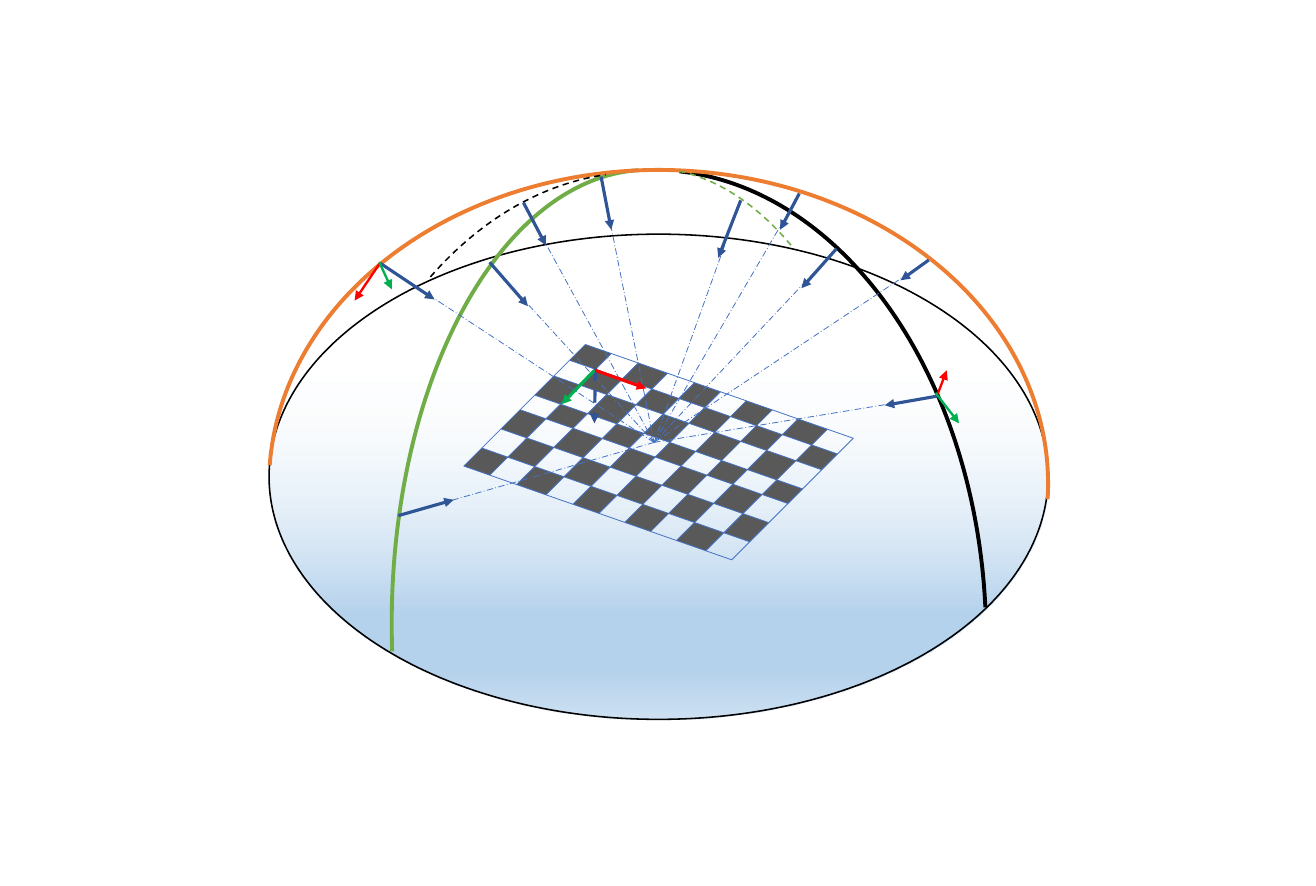
from itertools import product

from lxml import etree
from pptx import Presentation
from pptx import oxml
from pptx.dml.color import RGBColor
from pptx.enum import dml, shapes
from pptx.oxml import ns
from pptx.util import Inches, Pt

BLACK = RGBColor(0x00, 0x00, 0x00)
ORANGE = RGBColor(0xED, 0x7D, 0x31)
OLIVE = RGBColor(0x70, 0xAD, 0x47)
GREEN = RGBColor(0x00, 0xB0, 0x50)
RED = RGBColor(0xFF, 0x00, 0x00)
BLUE = RGBColor(0x44, 0x72, 0xC4)
NAVY = RGBColor(0x2F, 0x55, 0x97)
TILE_GREY = RGBColor(0x59, 0x59, 0x59)

DASH = dml.MSO_LINE.DASH
DASH_DOT = dml.MSO_LINE.LONG_DASH_DOT

# Gradient of the dome floor: position in percent, colour, opacity in percent
FLOOR_STOPS = [
    (25, RGBColor(0xFF, 0xFF, 0xFF), 0),
    (78, RGBColor(0xB5, 0xD2, 0xEC), 100),
    (90, RGBColor(0xB5, 0xD2, 0xEC), 100),
    (100, RGBColor(0xCE, 0xE1, 0xF2), 100),
]

# Meridians: offset from the floor's corner, size, start and end degrees, line
MERIDIANS = [
    (1.09, -0.57, 4.55, 8.06, 173.8, 268.8, OLIVE, 2.5, None),
    (0.46, -0.57, 5.91, 8.33, 273.2, 354.6, BLACK, 2.5, None),
    (0, -0.57, 6.92, 5.57, 182.7, 2.3, ORANGE, 2.5, None),
    (1.09, -0.59, 4.55, 8.06, 274, 290.9, OLIVE, 1, DASH),
    (0.34, -0.55, 5.91, 8.33, 240.1, 265.8, BLACK, 1, DASH),
]

# Board lines: distances along the far edge and down the left edge
COLUMNS = [0, 0.23, 0.47, 0.73, 0.97, 1.2, 1.43, 1.66, 1.89, 2.15, 2.38]
ROWS = [0, 0.14, 0.28, 0.45, 0.58, 0.75, 0.92, 1.08]
SLOPE = 0.35

# Cameras: place relative to the hub, then viewing vector
CAMERAS = [
    (-0.47, -2.36, 0.09, 0.47),
    (-1.46, -1.6, 0.34, 0.39),
    (-2.27, 0.65, 0.49, -0.14),
    (0.77, -2.15, -0.2, 0.51),
    (2.51, -0.41, -0.46, 0.08),
    (1.62, -1.72, -0.31, 0.35),
    (-2.43, -1.59, 0.48, 0.32),
    (2.44, -1.62, -0.25, 0.18),
    (-1.16, -2.13, 0.2, 0.38),
    (1.29, -2.21, -0.17, 0.32),
]

# Coordinate axes: place relative to the hub, vector, line
AXES = [
    (2.52, -0.43, 0.08, -0.21, RED, 1.5, None),
    (2.5, -0.44, 0.21, 0.27, GREEN, 1.5, None),
    (-2.43, -1.6, -0.23, 0.34, RED, 1.5, None),
    (-2.44, -1.6, 0.11, 0.24, GREEN, 1.5, None),
    (-0.52, -0.66, -0.01, 0.49, NAVY, 2, DASH),
    (-0.53, -0.64, -0.29, 0.3, GREEN, 2, None),
    (-0.52, -0.64, 0.45, 0.16, RED, 2, None),
]


def style_line(line, color, width, dash=None):
    line.color.rgb = color
    line.width = Pt(width)
    if dash is not None:
        line.dash_style = dash


def add_line(parent, start, end, color, width, dash=None, arrow=False):
    points = [Inches(value) for value in (*start, *end)]
    connector = parent.add_connector(shapes.MSO_CONNECTOR.STRAIGHT, *points)
    style_line(connector.line, color, width, dash)
    if arrow:
        outline = connector.line._get_or_add_ln()
        etree.SubElement(outline, ns.qn("a:tailEnd"), type="triangle")
    etree.SubElement(connector._element.spPr, ns.qn("a:effectLst"))


def add_outline(page, kind, box):
    shape = page.shapes.add_shape(kind, *[Inches(value) for value in box])
    shape.shadow.inherit = False
    return shape


def add_floor(page, box):
    floor = add_outline(page, shapes.MSO_SHAPE.OVAL, box)
    style_line(floor.line, BLACK, 1)
    stops = "".join(
        f'<a:gs pos="{place * 1000}"><a:srgbClr val="{color}">'
        f'<a:alpha val="{opacity * 1000}"/></a:srgbClr></a:gs>'
        for place, color, opacity in FLOOR_STOPS)
    gradient = oxml.parse_xml(
        f'<a:gradFill {ns.nsdecls("a")} rotWithShape="1"><a:gsLst>{stops}</a:gsLst>'
        '<a:lin ang="5400000" scaled="0"/></a:gradFill>')
    floor._element.spPr.find(ns.qn("a:prstGeom")).addnext(gradient)


def add_meridians(page, box):
    left, top = box[:2]
    for dx, dy, width, height, start, end, color, weight, dash in MERIDIANS:
        arc = add_outline(page, shapes.MSO_SHAPE.ARC,
                          (left + dx, top + dy, width, height))
        # One degree is 60000 units; adjustments count in 100000 units
        arc.adjustments[0] = start * 0.6
        arc.adjustments[1] = end * 0.6
        arc.fill.background()
        style_line(arc.line, color, weight, dash)


def add_board(page, box):
    left, top = box[:2]

    def corner(column, row):
        across, down = COLUMNS[column], ROWS[row]
        return left + across - down, top + SLOPE * across + down

    # Dark tiles
    last_column, last_row = len(COLUMNS) - 1, len(ROWS) - 1
    for column, row in product(range(last_column), range(last_row)):
        if (column + row) % 2:
            continue
        cell = [(column, row), (column + 1, row),
                (column + 1, row + 1), (column, row + 1)]
        points = [tuple(Inches(value) for value in corner(*place)) for place in cell]
        builder = page.shapes.build_freeform(*points[0])
        builder.add_line_segments(points[1:], close=True)
        tile = builder.convert_to_shape()
        tile.shadow.inherit = False
        tile.fill.solid()
        tile.fill.fore_color.rgb = TILE_GREY
        tile.line.fill.background()

    # Grid lines
    grid = page.shapes.add_group_shape().shapes
    for row in range(len(ROWS)):
        add_line(grid, corner(0, row), corner(last_column, row), BLUE, 0.5)
    for column in range(len(COLUMNS)):
        add_line(grid, corner(column, 0), corner(column, last_row), BLUE, 0.5)


def add_views(page, box):
    hub_x, hub_y = box[0] + 3.42, box[1] + 1.85

    # Sight lines from the hub to every camera
    for x, y, _, _ in CAMERAS:
        add_line(page.shapes, (hub_x, hub_y), (hub_x + x, hub_y + y),
                 BLUE, 0.5, DASH_DOT)

    # Viewing arrows and coordinate axes
    views = [(*camera, NAVY, 2, None) for camera in CAMERAS]
    for x, y, dx, dy, color, width, dash in views + AXES:
        start = hub_x + x, hub_y + y
        add_line(page.shapes, start, (start[0] + dx, start[1] + dy),
                 color, width, dash, arrow=True)


def add_dome(page, box):
    left, top = box[:2]
    add_floor(page, box)
    add_meridians(page, box)
    add_board(page, (left + 2.81, top + 0.98))
    add_views(page, box)


deck = Presentation()
deck.slide_width, deck.slide_height = Inches(11.69), Inches(7.87)
dome_page = deck.slides.add_slide(deck.slide_layouts[6])
add_dome(dome_page, (2.39, 2.08, 6.92, 4.31))
deck.save("out.pptx")
